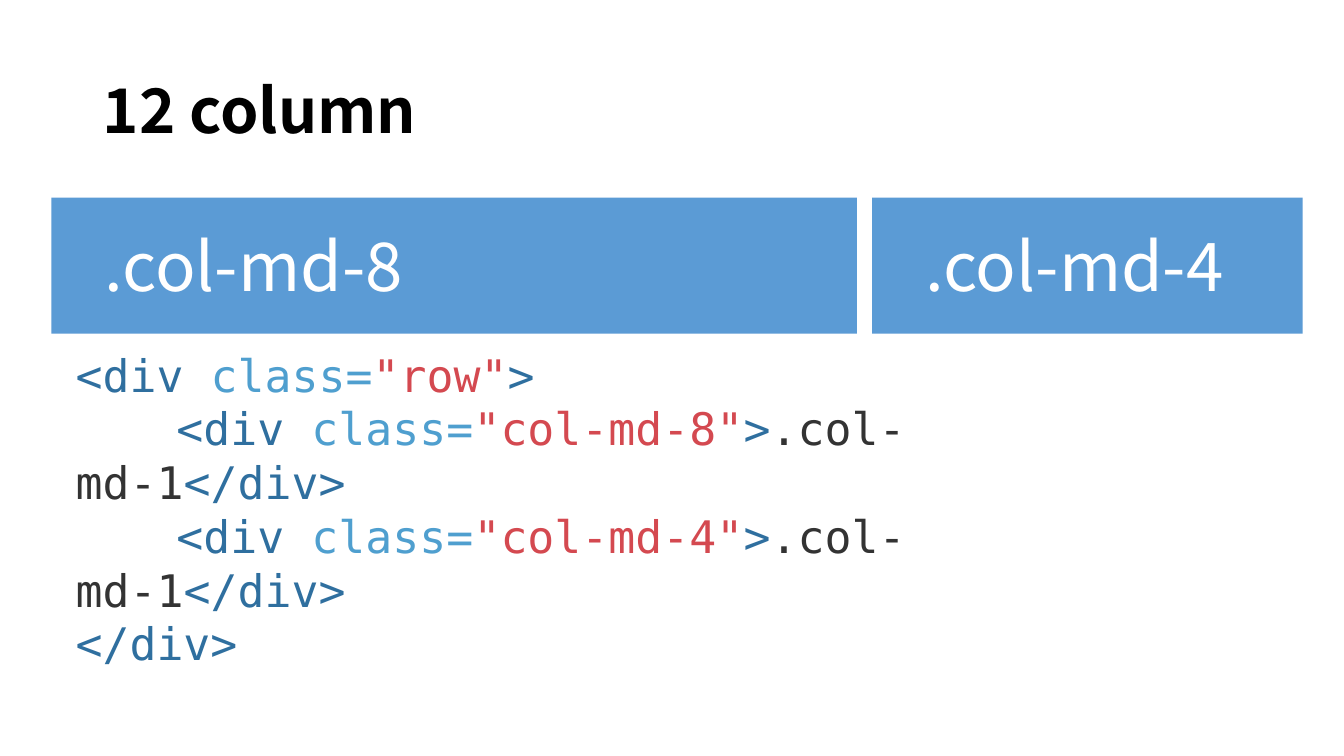
"""Build a slide that explains the twelve-column layout."""
from lxml import etree
from pptx import Presentation
from pptx import util as u
from pptx.dml.color import RGBColor
from pptx.enum import shapes, text
from pptx.oxml import ns

WIDTH, HEIGHT = 13.33, 7.5
SANS, MONO = "Noto Sans CJK KR", "DejaVu Sans Mono"
TAG, ATTRIBUTE, VALUE, CONTENT = "2F6F9F", "4F9FCF", "D44950", "333333"
BAR_TOP, BAR_HEIGHT = 1.96, 1.35
LABEL_INDENT, LABEL_DROP, LABEL_HEIGHT = 0.43, 0.31, 1.14
COLUMNS = [
    ("col-md-8", 0.51, 7.99, 3.98),
    ("col-md-4", 8.65, 4.27, 3.55),
]


def color(code):
    """Return the colour for a hex string."""
    return RGBColor.from_string(code)


def inches(*lengths):
    """Convert several lengths to slide units."""
    return [u.Inches(length) for length in lengths]


def style(font, name, size, code=None, bold=False):
    """Set the face, size, weight and optional colour of a font."""
    font.name, font.size, font.bold = name, u.Pt(size), bold
    if code:
        font.color.rgb = color(code)


def add_title(slide, words):
    """Fill and place the title placeholder."""
    title = slide.shapes.title
    title.left, title.top, title.width, title.height = inches(0.92, 0.4, 11.5, 1.45)
    frame = title.text_frame
    frame.text = words
    frame.auto_size = text.MSO_AUTO_SIZE.NONE
    frame.vertical_anchor = text.MSO_ANCHOR.MIDDLE
    para = frame.paragraphs[0]
    para.alignment, para.line_spacing = text.PP_ALIGN.LEFT, 0.9
    style(para.font, SANS, 44, "000000", bold=True)


def add_column(slide, name, left, width, label_width):
    """Draw a column bar with its class name on top."""
    bar = slide.shapes.add_shape(
        shapes.MSO_SHAPE.RECTANGLE, *inches(left, BAR_TOP, width, BAR_HEIGHT))
    bar.shadow.inherit = False
    bar.fill.solid()
    bar.fill.fore_color.rgb = color("5B9BD5")
    bar.line.fill.background()
    label = slide.shapes.add_textbox(*inches(
        left + LABEL_INDENT, BAR_TOP + LABEL_DROP, label_width, LABEL_HEIGHT))
    frame = label.text_frame
    frame.word_wrap = True
    para = frame.paragraphs[0]
    para.text = "." + name
    para.line_spacing, para.space_before = 0.9, u.Pt(10)
    style(para.font, SANS, 48, "FFFFFF")


def opening(name, indent=""):
    """Return the coloured pieces of an opening div tag."""
    return [(indent + "<div ", TAG), ("class=", ATTRIBUTE),
            (f'"{name}"', VALUE), (">", TAG)]


def set_tab(para, position):
    """Give a paragraph one left tab stop."""
    properties = para._p.get_or_add_pPr()
    tabs = etree.SubElement(properties, ns.qn("a:tabLst"))
    etree.SubElement(tabs, ns.qn("a:tab"), pos=str(u.Inches(position)), algn="l")


def add_code(slide, lines):
    """Write coloured lines of code in one text box."""
    box = slide.shapes.add_textbox(*inches(0.75, 3.97, 8.8, 2.15))
    frame = box.text_frame
    frame.word_wrap = True
    frame.auto_size = text.MSO_AUTO_SIZE.SHAPE_TO_FIT_TEXT
    frame.vertical_anchor = text.MSO_ANCHOR.MIDDLE
    frame.margin_left = frame.margin_right = 0
    frame.margin_top = frame.margin_bottom = 0
    for index, pieces in enumerate(lines):
        para = frame.add_paragraph() if index else frame.paragraphs[0]
        set_tab(para, 1)
        style(para.font, MONO, 32)
        for words, code in pieces:
            span = para.add_run()
            span.text = words
            span.font.color.rgb = color(code)


def main():
    """Create the deck and save it."""
    deck = Presentation()
    deck.slide_width, deck.slide_height = inches(WIDTH, HEIGHT)
    slide = deck.slides.add_slide(deck.slide_layouts[5])
    add_title(slide, "12 column")
    closing = ("</div>", TAG)
    children = [opening(name, "\t") + [(".col-md-1", CONTENT), closing]
                for name, *_ in COLUMNS]
    add_code(slide, [opening("row"), *children, [closing]])
    for column in COLUMNS:
        add_column(slide, *column)
    deck.save("out.pptx")


if __name__ == "__main__":
    main()
